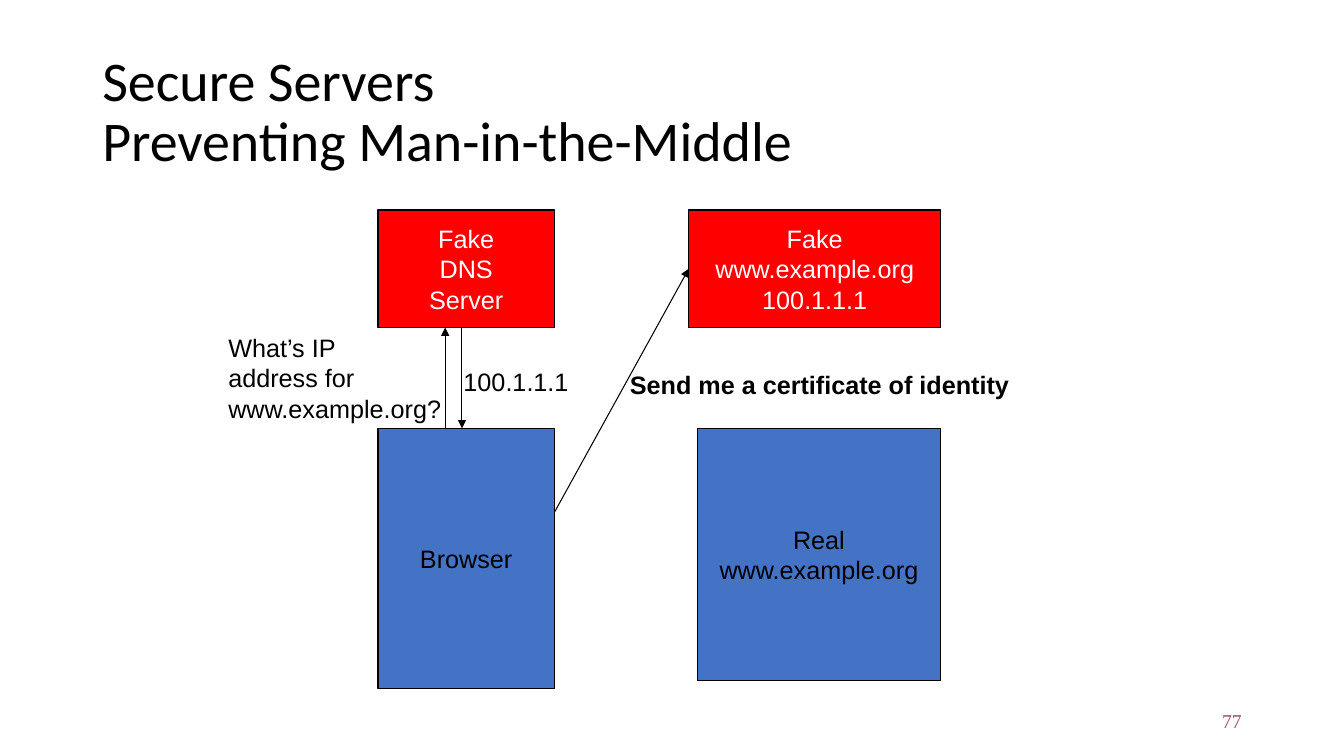
from lxml import etree
from pptx import Presentation, util as u
from pptx.dml.color import RGBColor
from pptx.enum import shapes, text
from pptx.oxml.ns import qn

BLACK = RGBColor(0x00, 0x00, 0x00)
WHITE = RGBColor(0xFF, 0xFF, 0xFF)
RED = RGBColor(0xFF, 0x00, 0x00)
BLUE = RGBColor(0x44, 0x72, 0xC4)
PLUM = RGBColor(0x95, 0x4F, 0x72)

# The slide is a grid of 160 columns by 90 rows, twelve to the inch
COLS, ROWS = 160, 90
CELL = u.Inches(1) // 12


def cells(*counts):
    return [round(n * CELL) for n in counts]


def write(sp, content, color=BLACK, size=18, font="Arial", bold=False,
          align=text.PP_ALIGN.LEFT, anchor=text.MSO_ANCHOR.TOP, wrap=False):
    tf = sp.text_frame
    tf.text = content
    tf.word_wrap = wrap
    tf.vertical_anchor = anchor
    for p in tf.paragraphs:
        p.alignment = align
        for r in p.runs:
            r.font.name, r.font.size, r.font.bold = font, u.Pt(size), bold
            r.font.color.rgb = color
    return tf


def add_host(slide, box, content, fill, color):
    sp = slide.shapes.add_shape(shapes.MSO_SHAPE.RECTANGLE, *cells(*box))
    sp.shadow.inherit = False
    sp.fill.solid()
    sp.fill.fore_color.rgb = fill
    sp.line.color.rgb = BLACK
    sp.line.width = u.Pt(0.75)
    write(sp, content, color, align=text.PP_ALIGN.CENTER,
          anchor=text.MSO_ANCHOR.MIDDLE)


def add_label(slide, box, content, **style):
    return write(slide.shapes.add_textbox(*cells(*box)), content, **style)


def add_arrow(slide, start, end):
    line = slide.shapes.add_connector(
        shapes.MSO_CONNECTOR.STRAIGHT, *cells(*start, *end))
    line.line.color.rgb = BLACK
    line.line.width = u.Pt(0.75)
    etree.SubElement(line.line._get_or_add_ln(), qn("a:tailEnd"), type="triangle")
    etree.SubElement(line._element.spPr, qn("a:effectLst"))


def main():
    prs = Presentation()
    prs.slide_width, prs.slide_height = cells(COLS, ROWS)
    slide = prs.slides.add_slide(prs.slide_layouts[6])

    # Title and page number
    title = add_label(slide, (11, 4.8, 138, 17.4),
                      "Secure Servers\vPreventing Man-in-the-Middle",
                      size=40, font="Calibri", wrap=True,
                      anchor=text.MSO_ANCHOR.MIDDLE)
    title.paragraphs[0].line_spacing = 0.9
    add_label(slide, (113, 83.4, 36, 4.8), "77", color=PLUM, size=14,
              font="Times New Roman", wrap=True, align=text.PP_ALIGN.RIGHT,
              anchor=text.MSO_ANCHOR.MIDDLE)

    # Hosts: attackers in the top row, browser and real site below
    add_host(slide, (45, 51, 21, 31), "Browser", BLUE, BLACK)
    add_host(slide, (45, 25, 21, 14), "Fake\nDNS\nServer", RED, WHITE)
    add_host(slide, (82, 25, 30, 14), "Fake\nwww.example.org\n100.1.1.1", RED, WHITE)
    add_host(slide, (83, 51, 29, 30), "Real\nwww.example.org", BLUE, BLACK)

    # DNS query, DNS reply and certificate request
    add_arrow(slide, (53, 51), (53, 39))
    add_arrow(slide, (55, 39), (55, 51))
    add_arrow(slide, (66, 61), (82, 32))
    add_label(slide, (26, 39, 28, 12), "What’s IP\naddress for\nwww.example.org?")
    add_label(slide, (54, 43, 14.9, 4.8), "100.1.1.1")
    add_label(slide, (73.8, 43.4, 47.6, 4.8),
              "Send me a certificate of identity", bold=True)

    prs.save("out.pptx")


if __name__ == "__main__":
    main()
